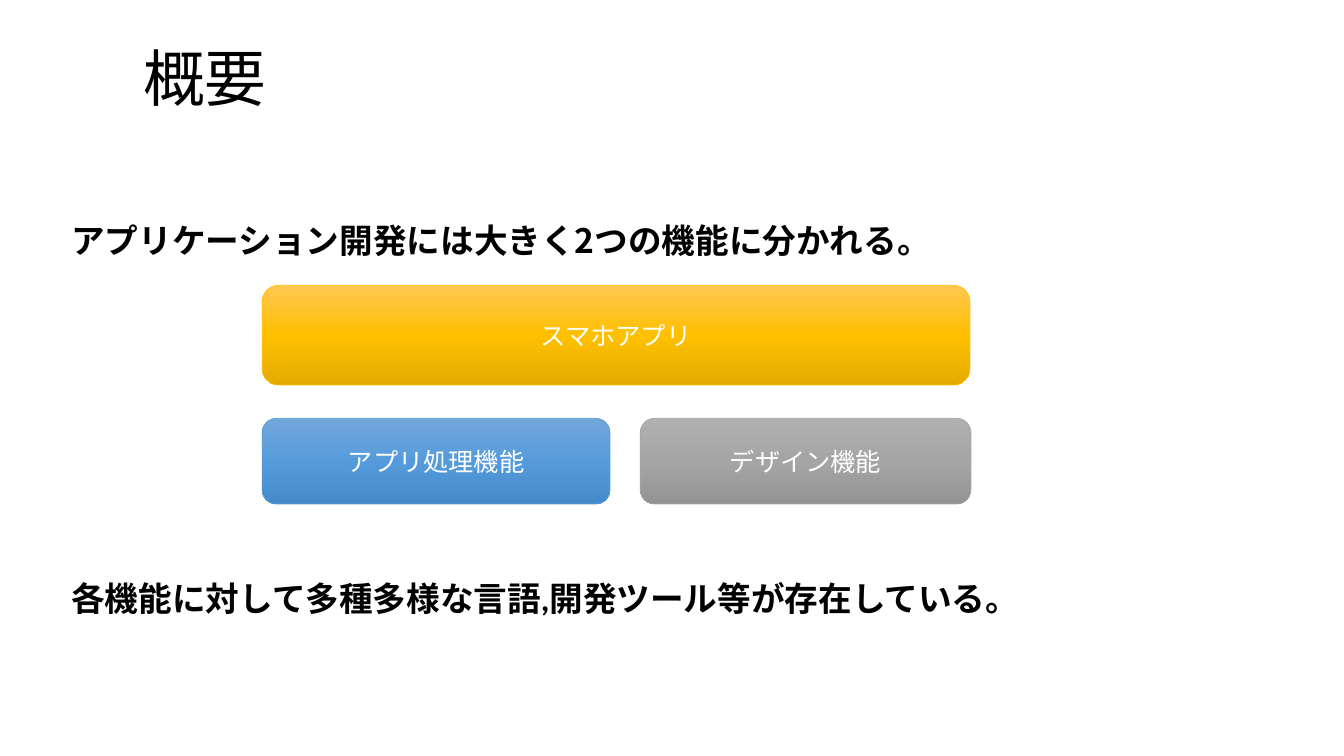
import copy
from typing import NamedTuple

import pptx
import pptx.dml.color
import pptx.enum.lang
import pptx.enum.shapes
import pptx.enum.text
import pptx.shapes.autoshape
import pptx.slide
import pptx.text.text
import pptx.util
from pptx.util import Inches

ALIGN = pptx.enum.text.PP_ALIGN
ANCHOR = pptx.enum.text.MSO_ANCHOR
FIT = pptx.enum.text.MSO_AUTO_SIZE
LATIN = "Calibri"
ASIAN = "Noto Sans CJK JP"


class Box(NamedTuple):
    """A rounded box with a three-stop gradient."""
    text: str
    left: float
    top: float
    width: float
    height: float
    stops: tuple[str, str, str]
    line: str


class Note(NamedTuple):
    """A bold line of text, as pairs of wording and font."""
    words: list[tuple[str, str]]
    top: float
    width: float


LEFT, LOW, LOW_TALL = 2.6, 4.15, 0.85
BOXES = [
    Box("スマホアプリ", LEFT, 2.83, 7.02, 0.99,
        ("FFC752", "FFC000", "E3AB00"), "FFC000"),
    Box("アプリ処理機能", LEFT, LOW, 3.45, LOW_TALL,
        ("73A7DB", "559BDB", "458ACA"), "5B9BD5"),
    Box("デザイン機能", 6.35, LOW, 3.28, LOW_TALL,
        ("B0B0B0", "A5A5A5", "939393"), "A5A5A5"),
]
NOTES = [
    Note([("アプリケーション開発には大きく", LATIN), ("2", ASIAN),
          ("つの機能に分かれる。", LATIN)], 2.13, 9.17),
    Note([("各機能に対して多種多様な言語,開発ツール等が存在している。", LATIN)],
         5.68, 10.12),
]


def shade(code: str) -> pptx.dml.color.RGBColor:
    """Turn a hex string into a colour."""
    return pptx.dml.color.RGBColor.from_string(code)


def write(frame: pptx.text.text.TextFrame, text: str, size: float = 18,
          color: str = "000000", bold: bool = False, font: str = LATIN,
          align: ALIGN = ALIGN.LEFT) -> None:
    """Add a formatted run to the first paragraph of a frame."""
    para = frame.paragraphs[0]
    para.alignment = align
    run = para.add_run()
    run.text = text
    run.font.size = pptx.util.Pt(size)
    run.font.name = font
    run.font.bold = bold
    run.font.color.rgb = shade(color)
    run.font.language_id = pptx.enum.lang.MSO_LANGUAGE_ID.JAPANESE


def blend(shape: pptx.shapes.autoshape.Shape, codes: tuple[str, ...]) -> None:
    """Fill a shape from top to bottom with evenly spaced colours."""
    shape.fill.gradient()
    shape.fill.gradient_angle = 270
    stops = shape.element.spPr.xpath("./a:gradFill/a:gsLst")[0]
    while len(stops) < len(codes):
        stops.insert(1, copy.deepcopy(stops[0]))
    for i, (stop, code) in enumerate(zip(shape.fill.gradient_stops, codes)):
        stop.position = i / (len(codes) - 1)
        stop.color.rgb = shade(code)


def draw_box(slide: pptx.slide.Slide, box: Box) -> None:
    """Draw a rounded box with its centred label."""
    shape = slide.shapes.add_shape(
        pptx.enum.shapes.MSO_SHAPE.ROUNDED_RECTANGLE, Inches(box.left),
        Inches(box.top), Inches(box.width), Inches(box.height))
    shape.shadow.inherit = False
    blend(shape, box.stops)
    shape.line.color.rgb = shade(box.line)
    shape.line.width = pptx.util.Pt(0.5)
    shape.text_frame.vertical_anchor = ANCHOR.MIDDLE
    write(shape.text_frame, box.text, color="FFFFFF", align=ALIGN.CENTER)


def draw_note(slide: pptx.slide.Slide, note: Note) -> None:
    """Draw a bold line of text that does not wrap."""
    frame = slide.shapes.add_textbox(
        Inches(0.61), Inches(note.top), Inches(note.width),
        Inches(0.5)).text_frame
    frame.word_wrap = False
    frame.auto_size = FIT.SHAPE_TO_FIT_TEXT
    for text, font in note.words:
        write(frame, text, size=24, bold=True, font=font)


def draw_title(slide: pptx.slide.Slide, text: str) -> None:
    """Place and fill the title."""
    title = slide.shapes.title
    title.left, title.top = Inches(1.32), Inches(0.31)
    title.width, title.height = Inches(10.7), Inches(1)
    frame = title.text_frame
    frame.auto_size = FIT.NONE
    frame.vertical_anchor = ANCHOR.MIDDLE
    frame.paragraphs[0].line_spacing = 0.9
    write(frame, text, size=44)


deck = pptx.Presentation()
deck.slide_width, deck.slide_height = Inches(13.33), Inches(7.5)
page = deck.slides.add_slide(deck.slide_layouts.get_by_name("Title Only"))
draw_title(page, "概要")
for box in BOXES:
    draw_box(page, box)
for note in NOTES:
    draw_note(page, note)
deck.save("out.pptx")
